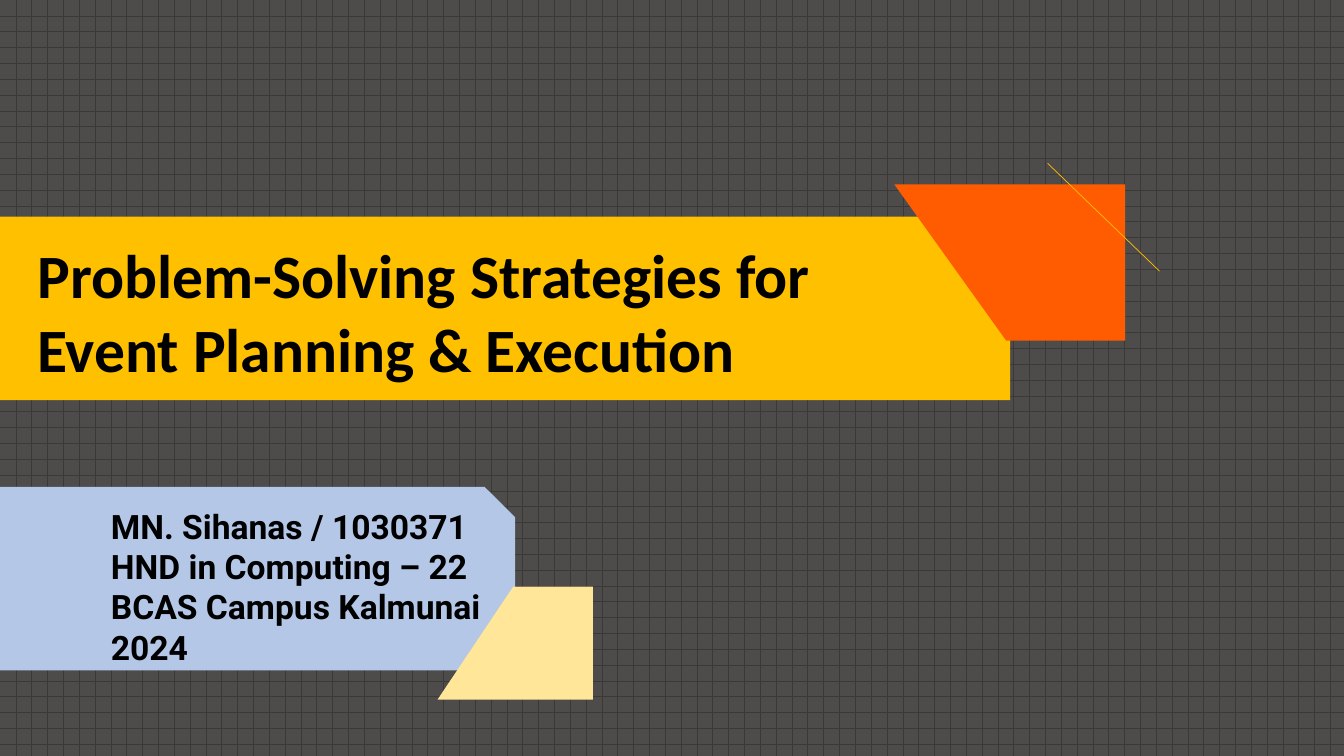
from lxml import etree
from pptx import Presentation
from pptx.dml.color import RGBColor
from pptx.enum.dml import MSO_PATTERN as Pattern
from pptx.enum.shapes import MSO_CONNECTOR as Connector, MSO_SHAPE as Shape
from pptx.enum.text import MSO_ANCHOR as Anchor, PP_ALIGN as Align
from pptx.oxml.ns import qn
from pptx.util import Inches, Pt

TITLE = "Problem-Solving Strategies for Event Planning & Execution"
AUTHOR_LINES = [
    "MN. Sihanas / 1030371",
    "HND in Computing – 22",
    "BCAS Campus Kalmunai",
    "2024",
]


def color(hex_code):
    """Return the colour of a hex string."""
    return RGBColor.from_string(hex_code)


def paint(shape, hex_code):
    """Give a shape a solid fill without line or shadow."""
    shape.shadow.inherit = False
    shape.line.fill.background()
    shape.fill.solid()
    shape.fill.fore_color.rgb = color(hex_code)


def add_block(slide, kind, box, hex_code):
    """Add a filled preset shape in a box given in inches."""
    block = slide.shapes.add_shape(kind, *map(Inches, box))
    paint(block, hex_code)
    return block


def add_flag(slide, box, notch, hex_code):
    """Add a rectangle whose lower left corner is cut back by notch, negative for the upper one."""
    left, top, width, height = box
    right, bottom = left + width, top + height
    top_left, bottom_left = left + max(-notch, 0), left + max(notch, 0)
    corners = [(top_left, top), (right, top), (right, bottom), (bottom_left, bottom)]
    points = [(Inches(x), Inches(y)) for x, y in corners]
    builder = slide.shapes.build_freeform(*points[0], scale=1.0)
    builder.add_line_segments(points[1:], close=True)
    paint(builder.convert_to_shape(), hex_code)


def style_paragraph(paragraph, font_name, size):
    """Set left-aligned bold black text."""
    paragraph.alignment = Align.LEFT
    for run in paragraph.runs:
        run.font.name = font_name
        run.font.size = Pt(size)
        run.font.bold = True
        run.font.color.rgb = color("000000")


def add_backdrop(slide, box):
    """Cover the box with a dotted grid under a dark translucent veil."""
    grid = add_block(slide, Shape.RECTANGLE, box, "FFFFFF")
    grid.fill.patterned()
    grid.fill.pattern = Pattern.DOTTED_GRID
    grid.fill.fore_color.rgb = color("3B3838")
    grid.fill.back_color.rgb = color("FFFFFF")
    veil = add_block(slide, Shape.RECTANGLE, box, "3B3838")
    tint = veil.fill._xPr.find(qn("a:solidFill"))[0]
    etree.SubElement(tint, qn("a:alpha"), val="90000")


def add_title_band(slide, box):
    """Add the title band with its orange flag and accent line."""
    left, top, width, height = box
    add_block(slide, Shape.RECTANGLE, box, "FFC000")
    add_flag(slide, (left + 8.87, top - 0.32, 2.29, 1.55), 1.11, "FF5C01")

    title_box = (left + 0.37, top + 0.2, 8.94, 1.48)
    frame = slide.shapes.add_textbox(*map(Inches, title_box)).text_frame
    frame.word_wrap = True
    frame.margin_left = frame.margin_right = 0
    frame.margin_top = frame.margin_bottom = 0
    frame.text = TITLE
    style_paragraph(frame.paragraphs[0], "Calibri", 44)

    ends = (left + 10.39, top - 0.53, left + 11.5, top + 0.54)
    accent = slide.shapes.add_connector(Connector.STRAIGHT, *map(Inches, ends))
    accent.line.color.rgb = color("FFC000")
    accent.line.width = Pt(0.5)
    etree.SubElement(accent._element.spPr, qn("a:effectLst"))


def add_author_card(slide, box):
    """Add the author card with its pale yellow flag."""
    left, top, width, height = box
    card = add_block(slide, Shape.SNIP_1_RECTANGLE, box, "B4C7E7")
    frame = card.text_frame
    frame.word_wrap = True
    frame.vertical_anchor = Anchor.MIDDLE
    frame.margin_left = Inches(1.1)
    frame.text = "\n".join(AUTHOR_LINES)
    for paragraph in frame.paragraphs:
        style_paragraph(paragraph, "Roboto", 24)
    add_flag(slide, (left + 4.34, top + 0.99, 1.54, 1.12), -0.75, "FFE699")


def main():
    """Build the title slide and save it."""
    deck = Presentation()
    deck.slide_width, deck.slide_height = Inches(13.33), Inches(7.5)
    slide = deck.slides.add_slide(deck.slide_layouts[6])
    add_backdrop(slide, (0, 0, 13.33, 7.5))
    add_title_band(slide, (0, 2.15, 10.02, 1.82))
    add_author_card(slide, (0, 4.83, 5.11, 1.82))
    deck.save("out.pptx")


if __name__ == "__main__":
    main()
